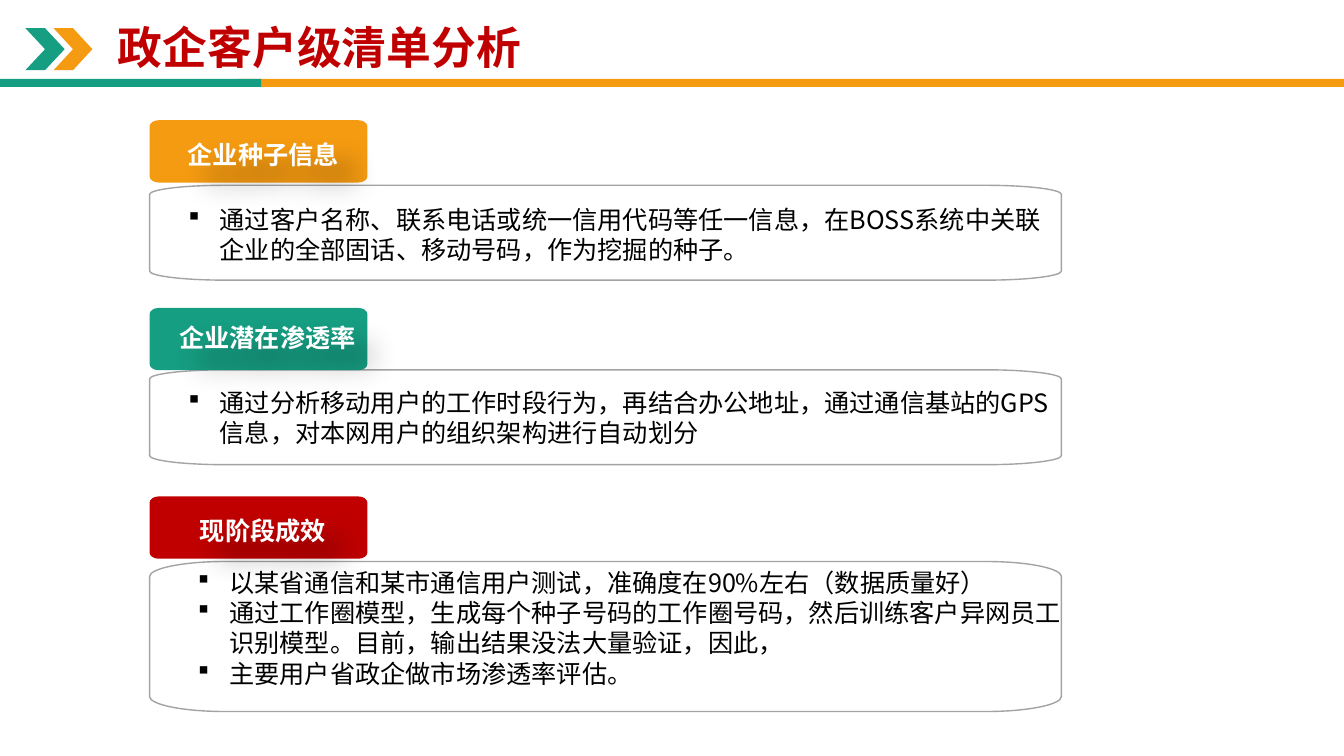
import pptx
import pptx.dml.color
import pptx.enum.shapes
import pptx.enum.text
import pptx.oxml
import pptx.oxml.ns
import pptx.util
from pptx.util import Cm

FONT = "Noto Sans CJK SC"
COLORS = {
    "green": "169E82",
    "orange": "F59B11",
    "red": "C00000",
    "outline": "A3A3A3",
    "white": "FFFFFF",
    "black": "000000",
}
NAMESPACE = 'xmlns:a="http://schemas.openxmlformats.org/drawingml/2006/main"'
LEFT, PANEL_WIDTH = 3.77, 22.98
TAB_WIDTH, TAB_HEIGHT = 5.49, 1.57
BULLET_INDENT = Cm(0.79)

# label box: left, top, width; panel: top, height, corner height; body box: left, top, width, height
SECTIONS = [
    {
        "label": "企业种子信息", "color": "orange", "tab_top": 3.03,
        "label_box": (4.45, 3.38, 4.37), "panel": (4.67, 2.39, 0.23), "body_box": (4.5, 5.03, 22.2, 1.8),
        "points": ["通过客户名称、联系电话或统一信用代码等任一信息，在BOSS系统中关联企业的全部固话、移动号码，作为挖掘的种子。"],
    },
    {
        "label": "企业潜在渗透率", "color": "green", "tab_top": 7.76,
        "label_box": (4.24, 8, 5), "panel": (9.32, 2.39, 0.23), "body_box": (4.5, 9.63, 22.2, 1.8),
        "points": ["通过分析移动用户的工作时段行为，再结合办公地址，通过通信基站的GPS信息，对本网用户的组织架构进行自动划分"],
    },
    {
        "label": "现阶段成效", "color": "red", "tab_top": 12.51,
        "label_box": (4.77, 12.86, 3.71), "panel": (14.15, 3.78, 0.38), "body_box": (4.74, 14.17, 22.28, 3.33),
        "points": [
            "以某省通信和某市通信用户测试，准确度在90%左右（数据质量好）",
            "通过工作圈模型，生成每个种子号码的工作圈号码，然后训练客户异网员工识别模型。目前，输出结果没法大量验证，因此，",
            "主要用户省政企做市场渗透率评估。",
        ],
    },
]

presentation = pptx.Presentation()
presentation.slide_width, presentation.slide_height = Cm(33.87), Cm(19.05)
slide = presentation.slides.add_slide(presentation.slide_layouts[6])


def add_rounded_block(left, top, width, height, radius_x, radius_y, color):
    """Draw a rectangle whose corners are quarter ellipses, each one Bézier curve."""
    right, bottom = left + width, top + height
    points = [(Cm(x), Cm(y)) for x, y in [
        (left, top + radius_y), (left + radius_x, top),
        (right - radius_x, top), (right, top + radius_y),
        (right, bottom - radius_y), (right - radius_x, bottom),
        (left + radius_x, bottom), (left, bottom - radius_y),
    ]]
    builder = slide.shapes.build_freeform(*points[0])
    builder.add_line_segments(points[1:], close=True)
    block = builder.convert_to_shape()
    segments = list(block._element.iter(pptx.oxml.ns.qn("a:lnTo")))
    for index in range(0, 8, 2):
        (start_x, start_y), (end_x, end_y) = points[index], points[index + 1]
        corner_x, corner_y = (start_x, end_y) if index % 4 == 0 else (end_x, start_y)
        curve = [
            (start_x + 0.55 * (corner_x - start_x), start_y + 0.55 * (corner_y - start_y)),
            (end_x + 0.55 * (corner_x - end_x), end_y + 0.55 * (corner_y - end_y)),
            (end_x, end_y),
        ]
        curve_points = "".join(
            f'<a:pt x="{round(x - points[0][0])}" y="{round(y - points[1][1])}"/>' for x, y in curve)
        segment = segments[index]
        segment.getparent().replace(segment, pptx.oxml.parse_xml(
            f"<a:cubicBezTo {NAMESPACE}>{curve_points}</a:cubicBezTo>"))
    block.shadow.inherit = False
    block.fill.solid()
    block.fill.fore_color.rgb = pptx.dml.color.RGBColor.from_string(COLORS[color])
    block.line.fill.background()
    return block


def add_text(box, lines, size, color, bold=False, wrap=False):
    textbox = slide.shapes.add_textbox(*[Cm(length) for length in box])
    textbox.text_frame.word_wrap = wrap
    textbox.text_frame.text = "\n".join(lines)
    for paragraph in textbox.text_frame.paragraphs:
        font = paragraph.runs[0].font
        font.name, font.size, font.bold = FONT, pptx.util.Pt(size), bold
        font.color.rgb = pptx.dml.color.RGBColor.from_string(COLORS[color])
        east_asian = pptx.oxml.parse_xml(f'<a:ea {NAMESPACE} typeface="{FONT}"/>')
        paragraph.runs[0]._r.get_or_add_rPr().append(east_asian)
    return textbox


# Header
CHEVRON = pptx.enum.shapes.MSO_SHAPE.CHEVRON
RECTANGLE = pptx.enum.shapes.MSO_SHAPE.RECTANGLE
for kind, left, top, width, height, color in [
    (CHEVRON, 0.64, 0.71, 0.99, 1.06, "green"),
    (CHEVRON, 1.35, 0.71, 0.98, 1.06, "orange"),
    (RECTANGLE, 6, 1.99, 27.87, 0.2, "orange"),
    (RECTANGLE, 0, 1.99, 6.58, 0.2, "green"),
]:
    shape = slide.shapes.add_shape(kind, Cm(left), Cm(top), Cm(width), Cm(height))
    shape.shadow.inherit = False
    shape.fill.solid()
    shape.fill.fore_color.rgb = pptx.dml.color.RGBColor.from_string(COLORS[color])
    shape.line.fill.background()
add_text((2.72, 0.38, 10.77, 1.63), ["政企客户级清单分析"], 32, "red", bold=True)

# Sections
for section in SECTIONS:
    panel_top, panel_height, corner_height = section["panel"]
    panel = add_rounded_block(LEFT, panel_top, PANEL_WIDTH, panel_height, 1.9, corner_height, "white")
    panel.line.color.rgb = pptx.dml.color.RGBColor.from_string(COLORS["outline"])
    panel.line.width = pptx.util.Pt(1)
    panel_color = panel.fill._xPr.find(".//" + pptx.oxml.ns.qn("a:srgbClr"))
    panel_color.append(pptx.oxml.parse_xml(f'<a:alpha {NAMESPACE} val="90000"/>'))

    body = add_text(section["body_box"], section["points"], 18, "black", wrap=True)
    for paragraph in body.text_frame.paragraphs:
        properties = paragraph._p.get_or_add_pPr()
        properties.set("marL", str(BULLET_INDENT))
        properties.set("indent", str(-BULLET_INDENT))
        properties.append(pptx.oxml.parse_xml(
            f'<a:buFont {NAMESPACE} typeface="Wingdings" pitchFamily="2" charset="2"/>'))
        properties.append(pptx.oxml.parse_xml(f'<a:buChar {NAMESPACE} char="§"/>'))

    add_rounded_block(LEFT, section["tab_top"], TAB_WIDTH, TAB_HEIGHT, 0.23, 0.16, section["color"])
    label_left, label_top, label_width = section["label_box"]
    label = add_text((label_left, label_top, label_width, 1.02), [section["label"]], 18, "white", bold=True)
    label.text_frame.paragraphs[0].alignment = pptx.enum.text.PP_ALIGN.CENTER
    label._element.spPr.append(pptx.oxml.parse_xml(
        f'<a:effectLst {NAMESPACE}><a:outerShdw blurRad="{Cm(0.7)}" dist="{Cm(0.64)}" dir="2700000">'
        f'<a:srgbClr val="{COLORS["black"]}"><a:alpha val="40000"/></a:srgbClr>'
        "</a:outerShdw></a:effectLst>"))

presentation.save("out.pptx")
